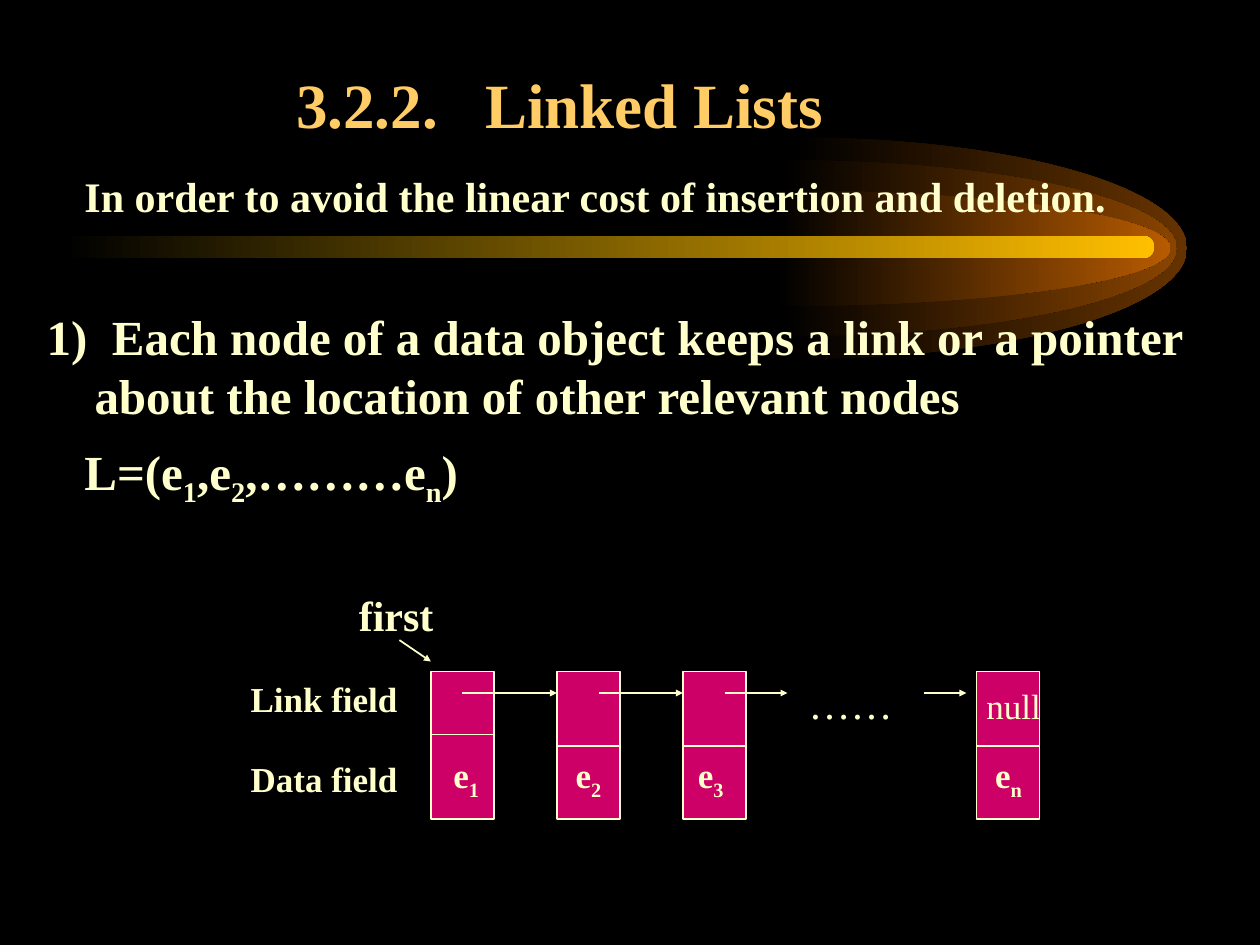
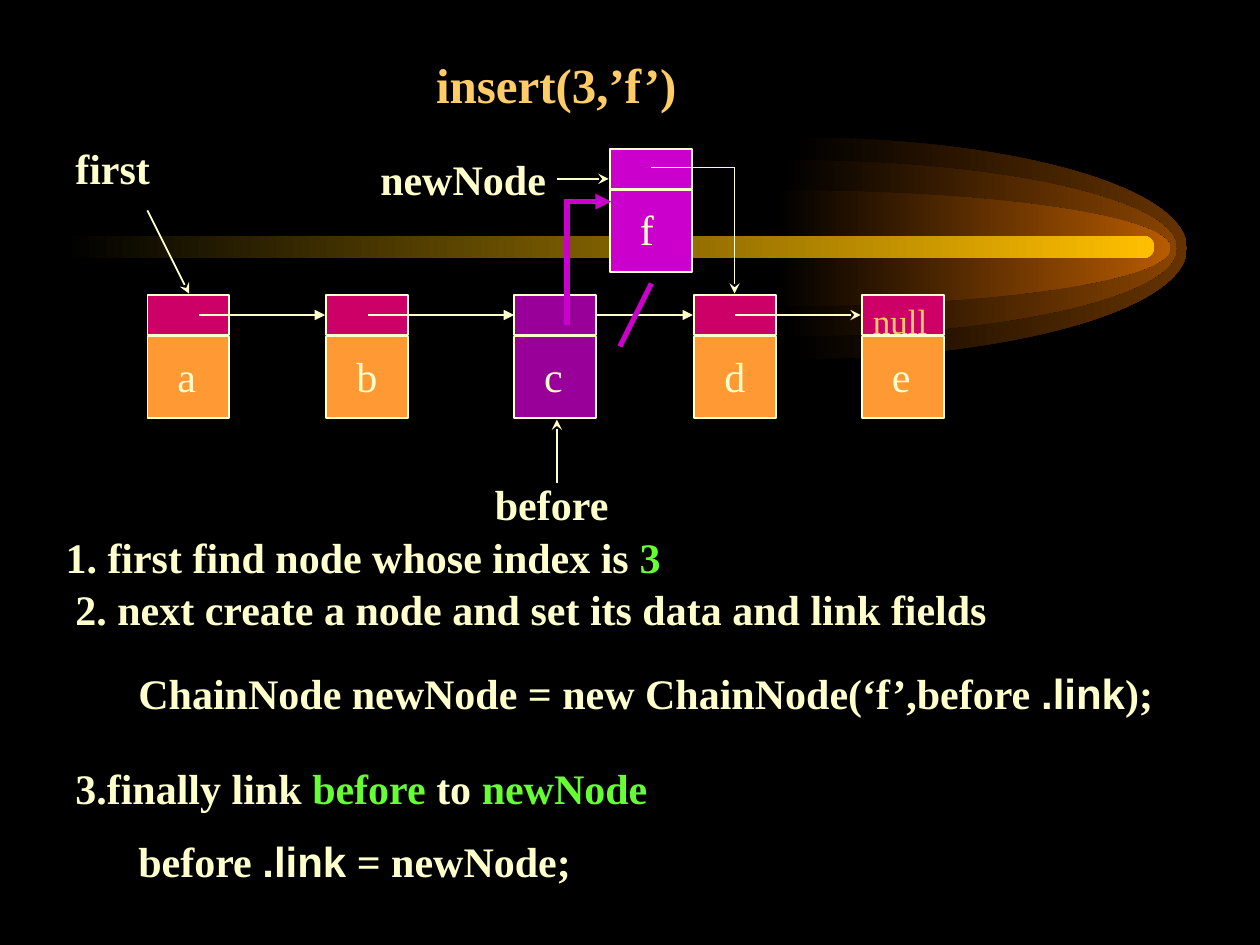
import lxml.etree
import pptx
import pptx.dml.color
import pptx.enum.shapes
import pptx.enum.text
import pptx.oxml.ns
import pptx.util

Inches = pptx.util.Inches
Pt = pptx.util.Pt
RGBColor = pptx.dml.color.RGBColor
MSO_SHAPE = pptx.enum.shapes.MSO_SHAPE
PP_ALIGN = pptx.enum.text.PP_ALIGN
MSO_ANCHOR = pptx.enum.text.MSO_ANCHOR
qn = pptx.oxml.ns.qn

# Colours and fonts
BLACK = RGBColor(0x00, 0x00, 0x00)
CREAM = RGBColor(0xFF, 0xFF, 0xCC)
GOLD = RGBColor(0xFF, 0xCC, 0x66)
GREEN = RGBColor(0x66, 0xFF, 0x33)
CRIMSON = RGBColor(0xCC, 0x00, 0x66)
ORANGE = RGBColor(0xFF, 0x99, 0x33)
PURPLE = RGBColor(0x99, 0x00, 0x99)
MAGENTA = RGBColor(0xCC, 0x00, 0xCC)
BAND_YELLOW = RGBColor(0xFF, 0xBF, 0x00)
COMET_BROWNS = [RGBColor(0x66, 0x33, 0x00), RGBColor(0x89, 0x44, 0x00), RGBColor(0xB7, 0x5B, 0x00)]
SERIF = "Times New Roman"
SANS = "Arial"


def write_text(paragraph, text, size=24, color=CREAM, bold=True, align=PP_ALIGN.LEFT,
               space_before=0, margin=0, hanging=0, tab=None):
    """Fill a paragraph; text is a string or a list of (string, run changes)."""
    properties = paragraph._p.get_or_add_pPr()
    properties.set("marL", str(Inches(margin)))
    properties.set("indent", str(-Inches(hanging)))
    lxml.etree.SubElement(properties, qn("a:buNone"))
    if tab:
        tab_list = lxml.etree.SubElement(properties, qn("a:tabLst"))
        lxml.etree.SubElement(tab_list, qn("a:tab"), pos=str(Inches(tab)), algn="l")
    paragraph.alignment = align
    paragraph.space_before = Pt(space_before)
    for part, changes in [(text, {})] if isinstance(text, str) else text:
        run = paragraph.add_run()
        run.text = part
        run.font.size = Pt(size)
        run.font.bold = bold
        run.font.name = changes.get("font", SERIF)
        run.font.color.rgb = changes.get("color", color)
        for name, value in changes.get("attributes", {}).items():
            run._r.get_or_add_rPr().set(name, value)


def add_line(slide, start, end, head=None, head_size="med", color=CREAM, width=1):
    """Draw a straight line, with an arrowhead at its end if one is named."""
    points = [Inches(value) for value in (*start, *end)]
    connector = slide.shapes.add_connector(pptx.enum.shapes.MSO_CONNECTOR.STRAIGHT, *points)
    connector.line.color.rgb = color
    connector.line.width = Pt(width)
    if head:
        lxml.etree.SubElement(connector.line._get_or_add_ln(), qn("a:tailEnd"),
                              type=head, w=head_size, len=head_size)
    lxml.etree.SubElement(connector._element.spPr, qn("a:effectLst"))


presentation = pptx.Presentation()
presentation.slide_width = Inches(10)
presentation.slide_height = Inches(7.5)
layout = presentation.slide_layouts[1]
list_slide = presentation.slides.add_slide(layout)
insert_slide = presentation.slides.add_slide(layout)

# Shared backdrop: half-ellipse comet and its band, kept on the layout
presentation.slide_master.background.fill.solid()
presentation.slide_master.background.fill.fore_color.rgb = BLACK
backdrop = []
for left, top, brown in zip((6.29, 6.21, 6.16), (1.09, 1.27, 1.51), COMET_BROWNS):
    middle, right = 1.97, left + 3.13
    bottom = 2 * middle - top
    control_x, control_rise = left + 1.73, 0.55 * (middle - top)
    outline = [(control_x, top), (right, middle - control_rise), (right, middle),
               (right, middle + control_rise), (control_x, bottom), (left, bottom)]
    builder = list_slide.shapes.build_freeform(Inches(left), Inches(top))
    builder.add_line_segments([(Inches(x), Inches(y)) for x, y in outline], close=True)
    comet = builder.convert_to_shape()
    # Turn each three straight segments into one curve
    segments = list(comet._element.iter(qn("a:lnTo")))
    for first in (0, 3):
        curve = lxml.etree.Element(qn("a:cubicBezTo"))
        segments[first].addprevious(curve)
        for segment in segments[first:first + 3]:
            curve.append(segment[0])
            segment.getparent().remove(segment)
    backdrop.append((comet, brown))
band = list_slide.shapes.add_shape(MSO_SHAPE.ROUNDED_RECTANGLE, Inches(0.5), Inches(1.87),
                                   Inches(8.66), Inches(0.18))
band.adjustments[0] = 0.5
backdrop.append((band, BAND_YELLOW))
for shape, end_color in backdrop:
    shape.shadow.inherit = False
    shape.line.fill.background()
    shape.fill.gradient()
    shape.fill.gradient_angle = 0
    for stop, position, color in zip(shape.fill.gradient_stops, (0, 1), (BLACK, end_color)):
        stop.position = position
        stop.color.rgb = color
    layout.shapes._spTree.append(shape._element)

# Titles and body text
subscript = {"attributes": {"baseline": "-25000"}}
wide = {"attributes": {"spc": "700"}}
green = {"color": GREEN}
sans = {"font": SANS}
link_rule = [("1)", {}), (" ", wide), ("Each node of a data object keeps a link or a pointer "
                                       "about the location of other relevant nodes", {})]
sequence = [("L=(e", {}), ("1", subscript), (",e", {}), ("2", subscript),
            (",………e", {}), ("n", subscript), (")", {})]
placeholders = [
    (list_slide.shapes.title, (2.25, 0.42, 7, 0.75), MSO_ANCHOR.BOTTOM,
     [("3.2.2.\tLinked Lists", dict(size=36, color=GOLD, tab=1.5))]),
    (list_slide.placeholders[1], (0.27, 1.3, 9.53, 5.45), MSO_ANCHOR.TOP,
     [("In order to avoid the linear cost of insertion and deletion.", dict(margin=0.3)),
      (link_rule, dict(size=28, space_before=49, margin=0.38, hanging=0.38)),
      (sequence, dict(size=28, space_before=10, margin=0.3))]),
    (insert_slide.shapes.title, (0.33, 0.25, 8.17, 0.83), MSO_ANCHOR.MIDDLE,
     [("insert(3,’f’)", dict(size=28, color=GOLD, align=PP_ALIGN.CENTER))]),
    (insert_slide.placeholders[1], (0.42, 4.17, 8.5, 2.58), MSO_ANCHOR.TOP,
     [([("1. first find node whose index is ", {}), ("3", green)], {})]),
]
for placeholder, box, anchor, paragraphs in placeholders:
    placeholder.left, placeholder.top, placeholder.width, placeholder.height = map(Inches, box)
    frame = placeholder.text_frame
    frame.auto_size = pptx.enum.text.MSO_AUTO_SIZE.NONE
    frame.vertical_anchor = anchor
    for index, (text, text_format) in enumerate(paragraphs):
        paragraph = frame.add_paragraph() if index else frame.paragraphs[0]
        write_text(paragraph, text, **text_format)

# Node boxes: slide, box, fill
chain_nodes = [(3.42, 5.83, "1", 3.5), (4.42, 5.92, "2", 4.47),
               (5.42, 5.92, "3", 5.44), (7.75, 5.92, "n", 7.8)]
insert_nodes = [("a", 1.17, 2.34, ORANGE, CRIMSON), ("b", 2.59, 2.34, ORANGE, CRIMSON),
                ("c", 4.08, 2.34, PURPLE, PURPLE), ("d", 5.51, 2.34, ORANGE, CRIMSON),
                ("e", 6.84, 2.34, ORANGE, CRIMSON), ("f", 4.84, 1.18, MAGENTA, MAGENTA)]
node_boxes = [(list_slide, (left, 5.33, 0.5, 1.17), CRIMSON) for left, *_ in chain_nodes]
for _, left, top, data_color, link_color in insert_nodes:
    node_boxes.append((insert_slide, (left, top + 0.33, 0.65, 0.65), data_color))
    node_boxes.append((insert_slide, (left, top, 0.65, 0.32), link_color))
for slide, box, color in node_boxes:
    shape = slide.shapes.add_shape(MSO_SHAPE.RECTANGLE, *map(Inches, box))
    shape.shadow.inherit = False
    shape.fill.solid()
    shape.fill.fore_color.rgb = color
    shape.line.color.rgb = CREAM
    shape.line.width = Pt(1)

# Chain: dividers, links and the pointer to the first node
for left, divider, *_ in chain_nodes:
    add_line(list_slide, (left, divider), (left + 0.5, divider))
for start, end in [((3.67, 5.5), (4.42, 5.5)), ((4.75, 5.5), (5.42, 5.5)),
                   ((5.75, 5.5), (6.25, 5.5)), ((7.33, 5.5), (7.67, 5.5)),
                   ((3.17, 5.08), (3.42, 5.25))]:
    add_line(list_slide, start, end, "triangle", "sm")

# Insertion: links between nodes and pointers to them
for start, end, head in [
        ((1.58, 2.5), (2.58, 2.5), "triangle"), ((2.92, 2.5), (4.08, 2.5), "triangle"),
        ((4.74, 2.5), (5.5, 2.5), "triangle"), ((5.83, 2.5), (6.83, 2.5), "stealth"),
        ((1.17, 1.67), (1.5, 2.33), "stealth"), ((5.17, 1.33), (5.83, 1.33), None),
        ((5.83, 1.33), (5.83, 2.33), "stealth"), ((4.42, 1.42), (4.83, 1.42), "stealth"),
        ((4.42, 3.83), (4.42, 3.33), "stealth")]:
    add_line(insert_slide, start, end, head)

# Insertion: the cut link and the new one
for start, end, head in [((5.17, 2.25), (4.92, 2.75), None), ((4.5, 2.58), (4.5, 1.58), None),
                         ((4.52, 1.6), (4.85, 1.6), "triangle")]:
    add_line(insert_slide, start, end, head, color=MAGENTA, width=3)

# Labels and steps: slide, text, left, top, width, format
labels = [
    (list_slide, "first", 2.75, 4.63, 0.8, {}),
    (list_slide, "Link field", 1.89, 5.33, 1.4, dict(size=20)),
    (list_slide, "Data field", 1.89, 5.96, 1.4, dict(size=20)),
    (list_slide, "……", 6.32, 5.33, 0.9, dict(bold=False)),
    (list_slide, "null", 7.73, 5.38, 0.67, dict(size=20, bold=False)),
    (insert_slide, "null", 6.83, 2.33, 0.67, dict(size=20, bold=False, color=GOLD)),
    (insert_slide, "first", 0.5, 1.08, 1.83, {}),
    (insert_slide, "newNode", 2.92, 1.17, 1.67, {}),
    (insert_slide, "before", 3.83, 3.75, 2, {}),
    (insert_slide, "2. next create a node and set its data and link fields", 0.5, 4.58, 9, {}),
    (insert_slide, [("ChainNode newNode = new ChainNode(‘f’,before ", {}), (".link", sans),
                    (");", {})], 1, 5.25, 9, {}),
    (insert_slide, [("3.finally link ", {}), ("before ", green), ("to ", {}),
                    ("newNode", green)], 0.5, 6, 9, {}),
    (insert_slide, [("before ", {}), (".link", sans), (" = newNode;", {})], 1, 6.58, 7, {}),
]
for _, _, index, left in chain_nodes:
    labels.append((list_slide, [("e", {}), (index, subscript)], left, 5.93, 0.5, dict(size=20)))
for letter, left, top, *_ in insert_nodes:
    labels.append((insert_slide, letter, left + 0.14, top + 0.39, 0.37, dict(bold=False)))
for slide, text, left, top, width, text_format in labels:
    text_box = slide.shapes.add_textbox(Inches(left), Inches(top), Inches(width), Inches(0.5))
    text_box.text_frame.word_wrap = True
    write_text(text_box.text_frame.paragraphs[0], text, **text_format)

presentation.save("out.pptx")
